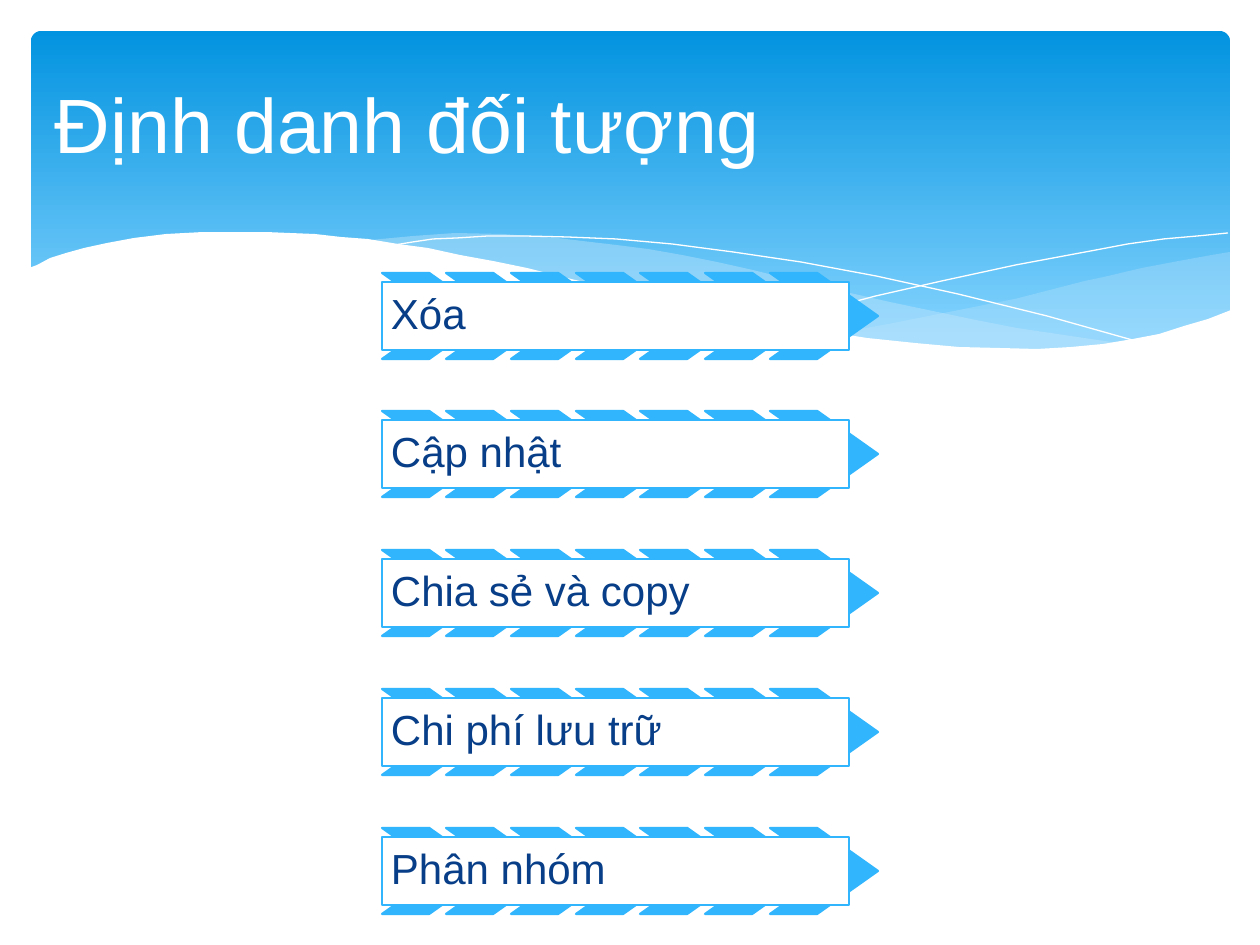
from dataclasses import dataclass
from typing import Optional

from lxml import etree
from pptx import Presentation
from pptx.dml.color import RGBColor
from pptx.enum.shapes import MSO_SHAPE
from pptx.enum.text import MSO_ANCHOR, PP_ALIGN
from pptx.oxml.ns import qn
from pptx.util import Emu, Pt

CHEVRON, RECTANGLE = MSO_SHAPE.CHEVRON, MSO_SHAPE.RECTANGLE
ROUNDED = MSO_SHAPE.ROUNDED_RECTANGLE
MIDDLE, LEFT = MSO_ANCHOR.MIDDLE, PP_ALIGN.LEFT

EMU_PER_PX = 914400 / 126
TITLE_ONLY = 5
COLORS = {
    "white": "FFFFFF", "accent": "31B6FD", "text": "073E87",
    "sky_top": "0293E0", "sky_bottom": "83D3FE", "wave": "C6E7FC",
}

OPERATIONS = ["Xóa", "Cập nhật", "Chia sẻ và copy", "Chi phí lưu trữ", "Phân nhóm"]
CHEVRON_COUNT = 7
FIRST_LEFT, CHEVRON_SPAN = 382, 388
FIRST_TOP, ROW_SPAN = 273, 555
CHEVRON_WIDTH, CHEVRON_HEIGHT = 108, 86
LABEL_WIDTH, LABEL_HEIGHT = 467, 68


@dataclass
class Wave:
    points: list[tuple[int, int]]
    fill: Optional[str] = None
    opacity: int = 100


WAVES = [
    Wave([(1230, 252), (1212, 255), (1179, 261), (1142, 268), (1104, 277),
          (1085, 281), (1015, 299), (949, 312), (889, 324), (833, 334),
          (871, 339), (922, 345), (969, 349), (1012, 350), (1052, 349),
          (1087, 347), (1120, 343), (1150, 338), (1178, 332), (1213, 318),
          (1230, 311)], "wave", 29),
    Wave([(1125, 344), (1091, 339), (1017, 328), (976, 320), (890, 302),
          (793, 280), (753, 270), (717, 262), (682, 255), (648, 249),
          (616, 245), (557, 238), (503, 234), (455, 233), (413, 236),
          (360, 241), (407, 247), (456, 256), (509, 266), (566, 280),
          (619, 292), (668, 302), (713, 312), (757, 321), (799, 329),
          (838, 335), (876, 340), (910, 345), (943, 348), (974, 349),
          (1003, 350), (1043, 350), (1080, 349), (1104, 347)], "wave", 40),
    Wave([(389, 246), (413, 242), (433, 239), (457, 238), (488, 236),
          (524, 236), (567, 237), (616, 239), (672, 244), (733, 252),
          (801, 262), (876, 276), (958, 294), (1047, 316), (1143, 343)]),
    Wave([(772, 324), (823, 310), (876, 296), (942, 281), (1016, 265),
          (1091, 251), (1128, 244), (1164, 239), (1198, 236), (1228, 233)]),
    Wave([(1231, 310), (1208, 319), (1184, 326), (1159, 334), (1133, 339),
          (1103, 344), (1071, 347), (1037, 349), (1000, 348), (959, 347),
          (915, 343), (867, 338), (816, 330), (760, 320), (699, 309),
          (634, 294), (563, 277), (527, 268), (493, 261), (460, 255),
          (428, 248), (398, 244), (368, 239), (341, 237), (315, 234),
          (290, 233), (266, 232), (243, 232), (203, 232), (166, 234),
          (134, 238), (107, 243), (84, 248), (66, 253), (50, 258),
          (37, 265), (29, 268), (29, 415), (1231, 415)], "white"),
]


def px(length: int) -> Emu:
    return Emu(round(length * EMU_PER_PX))


def rgb(name: str) -> RGBColor:
    return RGBColor.from_string(COLORS[name])


def write(shape, text: str, *, size: int, color: str, spacing: float = 1.0,
          inset: Optional[int] = None) -> None:
    frame = shape.text_frame
    frame.word_wrap = True
    frame.vertical_anchor = MIDDLE
    if inset is not None:
        frame.margin_left = frame.margin_right = px(inset)
        frame.margin_top = frame.margin_bottom = px(inset)
    paragraph = frame.paragraphs[0]
    paragraph.alignment = LEFT
    paragraph.line_spacing = spacing
    run = paragraph.add_run()
    run.text = text
    run.font.name = "Arial"
    run.font.size = Pt(size)
    run.font.color.rgb = rgb(color)


def add_box(slide, kind, left: int, top: int, width: int, height: int, fill: str):
    """Add a preset shape outlined in the accent colour."""
    box = slide.shapes.add_shape(kind, px(left), px(top), px(width), px(height))
    box.shadow.inherit = False
    box.fill.solid()
    box.fill.fore_color.rgb = rgb(fill)
    box.line.color.rgb = rgb("accent")
    box.line.width = Pt(1.25)
    return box


def draw_sky(slide) -> None:
    sky = add_box(slide, ROUNDED, 31, 31, 1199, 340, "sky_top")
    sky.adjustments[0] = 0.03
    sky.line.fill.background()
    sky.fill.gradient()
    sky.fill.gradient_angle = 270
    for stop, color, position in zip(sky.fill.gradient_stops,
                                     ("sky_top", "sky_bottom"), (0, 0.9)):
        stop.color.rgb = rgb(color)
        stop.position = position


def draw_wave(slide, wave: Wave) -> None:
    """Draw a filled wave, or a white hairline when it has no fill."""
    start, *rest = wave.points
    builder = slide.shapes.build_freeform(*start, scale=EMU_PER_PX)
    builder.add_line_segments(rest, close=wave.fill is not None)
    shape = builder.convert_to_shape()
    shape.shadow.inherit = False
    if wave.fill is None:
        shape.fill.background()
        shape.line.color.rgb = rgb("white")
        shape.line.width = Pt(0)
        return
    shape.line.fill.background()
    shape.fill.solid()
    shape.fill.fore_color.rgb = rgb(wave.fill)
    if wave.opacity < 100:
        solid = shape.fill._xPr.find(qn("a:solidFill"))
        etree.SubElement(solid[0], qn("a:alpha"), val=str(wave.opacity * 1000))


def draw_operation(slide, text: str, top: int) -> None:
    """Draw a row of chevrons with a label box over it."""
    for index in range(CHEVRON_COUNT):
        left = FIRST_LEFT + CHEVRON_SPAN * index // (CHEVRON_COUNT - 1)
        chevron = add_box(slide, CHEVRON, left, top, CHEVRON_WIDTH,
                          CHEVRON_HEIGHT, "accent")
        chevron.adjustments[0] = 0.706
    label = add_box(slide, RECTANGLE, FIRST_LEFT,
                    top + (CHEVRON_HEIGHT - LABEL_HEIGHT) // 2,
                    LABEL_WIDTH, LABEL_HEIGHT, "white")
    write(label, text, size=24, color="text", spacing=0.9, inset=9)


def place_title(slide) -> None:
    title = slide.shapes.title
    title.left, title.top = px(42), px(63)
    title.width, title.height = px(1071), px(120)
    write(title, "Định danh đối tượng", size=44, color="white")
    slide.shapes._spTree.append(title._element)  # bring above the sky


def main() -> None:
    deck = Presentation()
    deck.slide_width, deck.slide_height = px(1260), px(945)
    slide = deck.slides.add_slide(deck.slide_layouts[TITLE_ONLY])
    draw_sky(slide)
    for wave in WAVES:
        draw_wave(slide, wave)
    for row, operation in enumerate(OPERATIONS):
        draw_operation(slide, operation,
                       FIRST_TOP + ROW_SPAN * row // (len(OPERATIONS) - 1))
    place_title(slide)
    deck.save("out.pptx")


if __name__ == "__main__":
    main()
